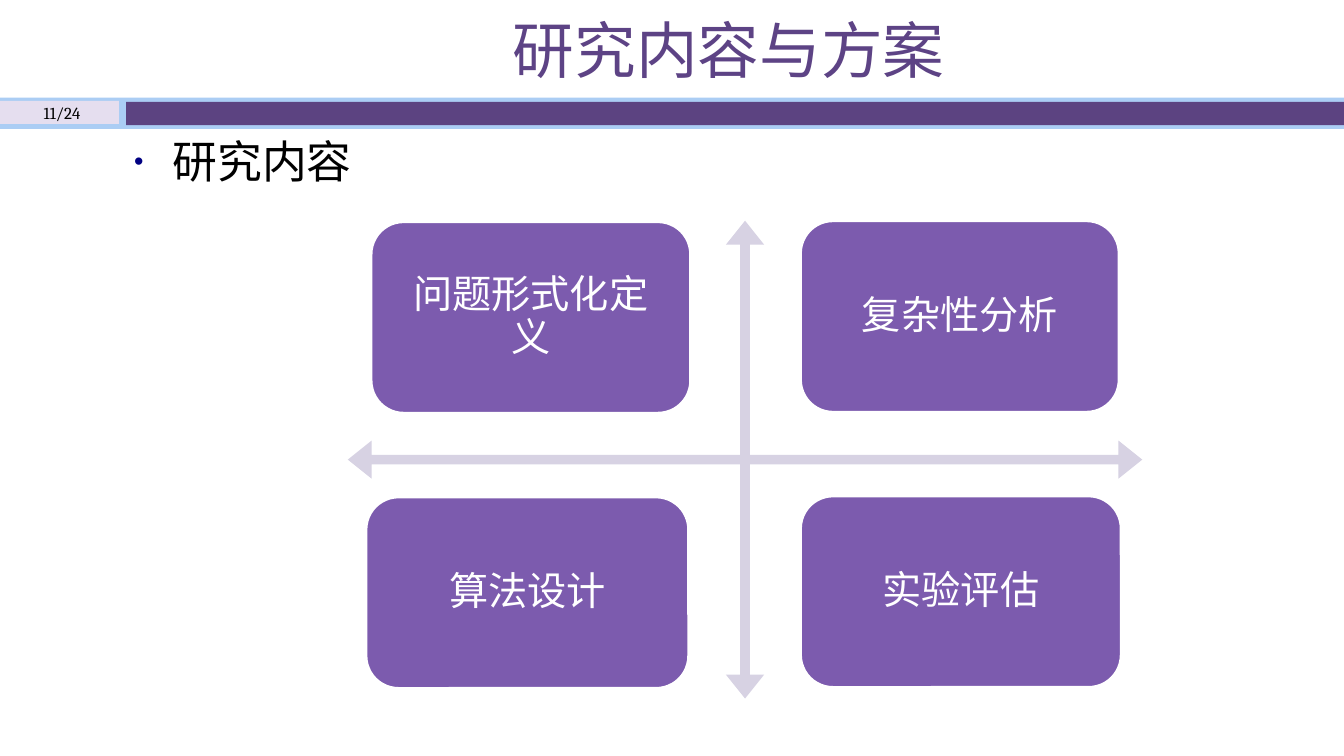
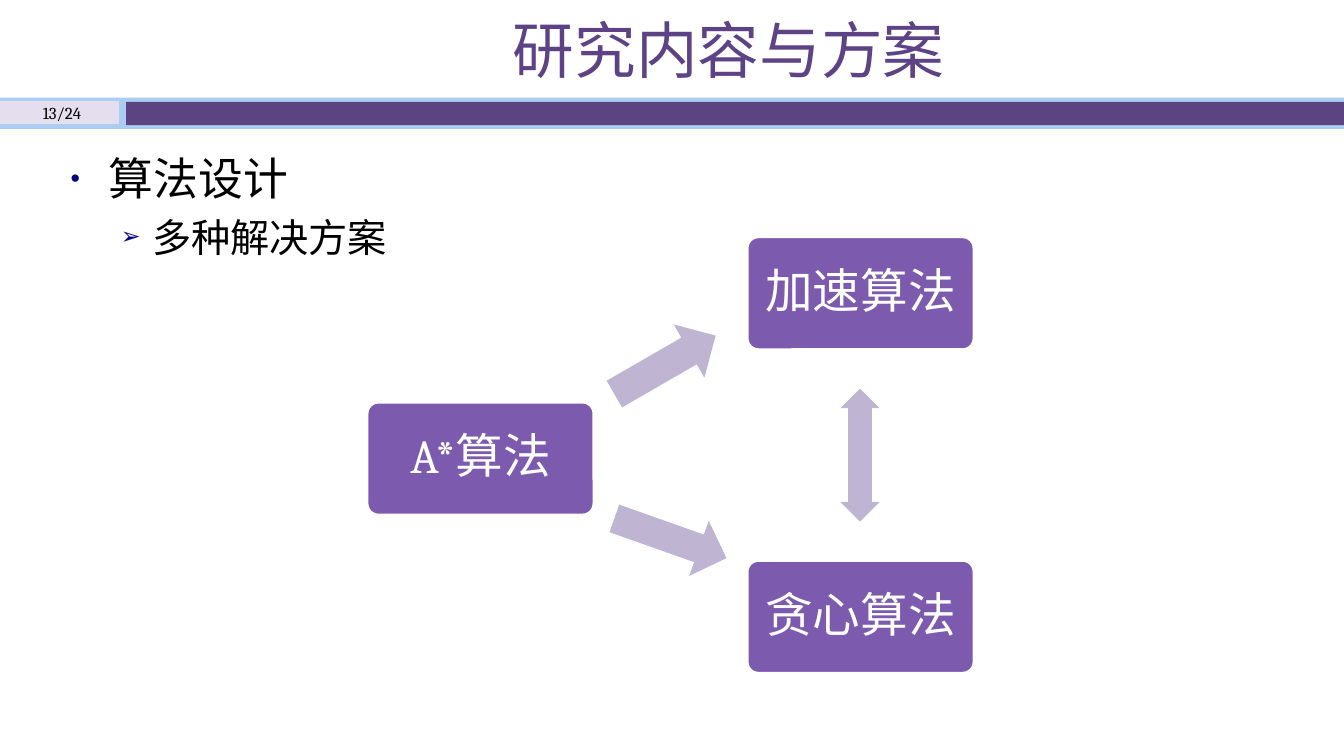
from dataclasses import dataclass

from lxml.etree import SubElement
from pptx import Presentation
from pptx.dml.color import RGBColor
from pptx.enum.shapes import MSO_SHAPE as SHAPE
from pptx.enum.text import MSO_ANCHOR as ANCHOR, MSO_AUTO_SIZE as AUTO_SIZE, PP_ALIGN as ALIGN
from pptx.oxml.ns import qn
from pptx.util import Inches, Pt

WIDTH, HEIGHT = Inches(13.33), Inches(7.5)
CJK = "Noto Sans CJK SC"
COLORS = {
    "white": "FFFFFF",
    "black": "000000",
    "title": "5D4385",
    "band": "ABCDF4",
    "page": "E5DEEF",
    "bar": "5C4381",
    "box": "7C5BAE",
    "axes": "D7D2E3",
    "arrow": "BFB5D3",
    "bullet": "000082",
}


@dataclass(frozen=True)
class Area:
    """A rectangle in percent of the slide's width and height."""
    x: float
    y: float
    w: float
    h: float

    def emu(self) -> tuple[int, int, int, int]:
        return (round(WIDTH * self.x / 100), round(HEIGHT * self.y / 100),
                round(WIDTH * self.w / 100), round(HEIGHT * self.h / 100))


@dataclass(frozen=True)
class Box:
    text: str
    area: Area


@dataclass(frozen=True)
class Arrow:
    kind: SHAPE
    area: Area
    rotation: float


@dataclass(frozen=True)
class Level:
    """Format of one list level; indents in inches, size in points."""
    bullet: str
    size: int
    indent: float
    hanging: float


TITLE = Area(9.23, 0.4, 90, 12)
PAGE = Area(0, 12.8, 9.23, 4.13)
BANDS = [
    ("band", Area(0, 12.93, 100, 4.13)),
    ("page", Area(0, 13.33, 8.85, 3.07)),
    ("bar", Area(9.38, 13.47, 90.62, 3.07)),
]
LEVELS = [Level("•", 32, 0.38, 0.38), Level("➢", 28, 0.81, 0.31)]

AXES = Area(25.88, 29.2, 59.11, 63.2)
TOPICS = [
    Box("问题形式化定义", Area(27.61, 29.33, 23.78, 25.33)),
    Box("复杂性分析", Area(59.56, 29.2, 23.71, 25.33)),
    Box("算法设计", Area(27.23, 65.73, 24.01, 25.33)),
    Box("实验评估", Area(59.56, 65.6, 23.86, 25.33)),
]
ALGORITHMS = [
    Box(text, Area(x, y, 16.88, 14.93))
    for text, x, y in [("加速算法", 55.59, 31.33), ("贪心算法", 55.59, 74.13),
                       ("A*算法", 27.31, 53.2)]
]
ARROWS = [
    Arrow(SHAPE.LEFT_RIGHT_ARROW, Area(59.04, 57.6, 9.9, 5.2), 90),
    Arrow(SHAPE.UP_ARROW, Area(47.71, 63.33, 4.35, 15.73), 109.5),
    Arrow(SHAPE.UP_ARROW, Area(47.19, 40.53, 4.58, 15.47), 60),
]


def rgb(name: str) -> RGBColor:
    return RGBColor.from_string(COLORS[name])


def write(p, text: str, *, size: float, color: str, font: str = "Cambria",
          align=ALIGN.CENTER, spacing: float = 1.0) -> None:
    p.alignment = align
    p.line_spacing = spacing
    r = p.add_run()
    r.text = text
    r.font.name = font
    r.font.size = Pt(size)
    r.font.color.rgb = rgb(color)
    SubElement(r.font._element, qn("a:ea"), typeface=CJK)


def add_shape(s, kind: SHAPE, area: Area, color: str, *, line: str = "",
              adjust: tuple[float, ...] = (), rotation: float = 0):
    sp = s.shapes.add_shape(kind, *area.emu())
    sp.shadow.inherit = False
    sp.fill.solid()
    sp.fill.fore_color.rgb = rgb(color)
    if line:
        sp.line.color.rgb = rgb(line)
        sp.line.width = Pt(2)
    else:
        sp.line.fill.background()
    for i, value in enumerate(adjust):
        sp.adjustments[i] = value
    sp.rotation = rotation
    return sp


def add_box(s, box: Box, *, size: float, corner: float) -> None:
    sp = add_shape(s, SHAPE.ROUNDED_RECTANGLE, box.area, "box", line="white",
                   adjust=(corner,))
    tf = sp.text_frame
    tf.word_wrap = True
    tf.vertical_anchor = ANCHOR.MIDDLE
    tf.margin_left = tf.margin_right = tf.margin_top = tf.margin_bottom = Inches(0.14)
    write(tf.paragraphs[0], box.text, size=size, color="white", spacing=0.9)


def place(holder, area: Area):
    """Move a placeholder and return its text frame."""
    holder.left, holder.top, holder.width, holder.height = area.emu()
    holder.text_frame.auto_size = AUTO_SIZE.NONE
    return holder.text_frame


def fill_list(holder, area: Area, lines: list[str]) -> None:
    """Write one line for each list level, from the outermost inwards."""
    tf = place(holder, area)
    tf.vertical_anchor = ANCHOR.TOP
    for depth, (text, level) in enumerate(zip(lines, LEVELS)):
        p = tf.add_paragraph() if depth else tf.paragraphs[0]
        p.level = depth
        write(p, text, size=level.size, color="black", font=CJK, align=ALIGN.LEFT)
        p.space_before = Pt(level.size * 0.2)
        pPr = p._p.get_or_add_pPr()
        pPr.set("marL", str(Inches(level.indent)))
        pPr.set("indent", str(-Inches(level.hanging)))
        color = SubElement(pPr, qn("a:buClr"))
        SubElement(color, qn("a:srgbClr"), val=COLORS["bullet"])
        SubElement(pPr, qn("a:buSzPct"), val="60000")
        SubElement(pPr, qn("a:buChar"), char=level.bullet)


def add_slide(prs, page: str, body: Area, lines: list[str]):
    """Add a slide with the shared title, bands, page count and a list."""
    s = prs.slides.add_slide(prs.slide_layouts[1])
    for color, area in BANDS:
        add_shape(s, SHAPE.RECTANGLE, area, color)
    tf = place(s.shapes.title, TITLE)
    tf.vertical_anchor = ANCHOR.MIDDLE
    write(tf.paragraphs[0], "研究内容与方案", size=44, color="title", font="Calibri")
    fill_list(s.placeholders[1], body, lines)
    tf = s.shapes.add_textbox(*PAGE.emu()).text_frame
    tf.word_wrap = True
    tf.vertical_anchor = ANCHOR.MIDDLE
    write(tf.paragraphs[0], page, size=12, color="black")
    return s


def add_content_slide(prs) -> None:
    s = add_slide(prs, "11/24", Area(9.23, 17.07, 90, 11.07), ["研究内容"])
    add_shape(s, SHAPE.QUAD_ARROW, AXES, "axes", adjust=(0.02, 0.04, 0.05))
    for box in TOPICS:
        add_box(s, box, size=28, corner=0.17)


def add_algorithm_slide(prs) -> None:
    s = add_slide(prs, "13/24", Area(4.5, 19.33, 90, 78.13), ["算法设计", "多种解决方案"])
    for box in ALGORITHMS:
        add_box(s, box, size=34, corner=0.1)
    for arrow in ARROWS:
        adjust = (0.6, 0.5) if arrow.kind == SHAPE.LEFT_RIGHT_ARROW else ()
        add_shape(s, arrow.kind, arrow.area, "arrow", adjust=adjust,
                  rotation=arrow.rotation)


def main() -> None:
    prs = Presentation()
    prs.slide_width, prs.slide_height = WIDTH, HEIGHT
    add_content_slide(prs)
    add_algorithm_slide(prs)
    prs.save("out.pptx")


if __name__ == "__main__":
    main()
